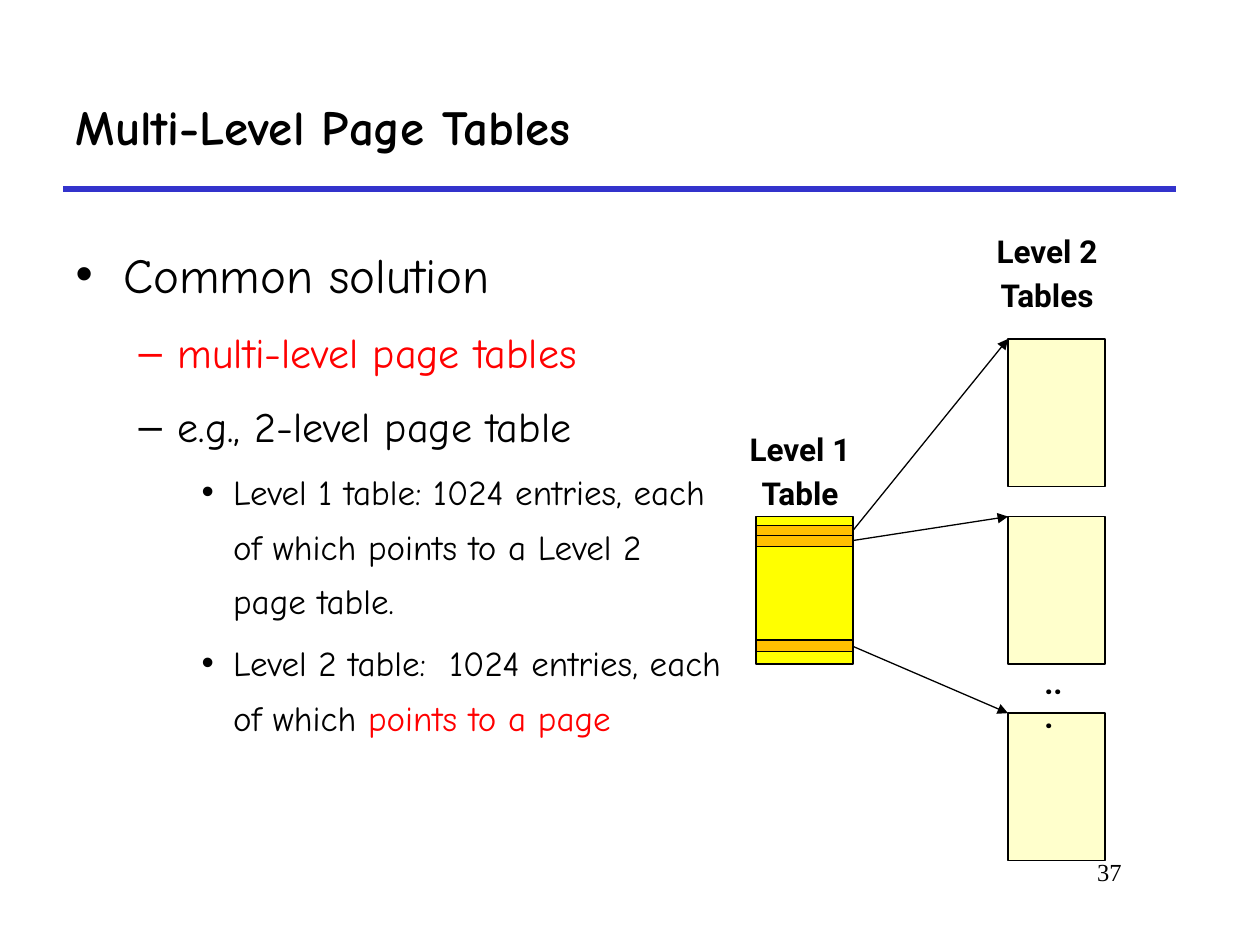
from lxml.etree import SubElement
from pptx import Presentation
from pptx.dml.color import RGBColor
from pptx.enum.shapes import MSO_CONNECTOR, MSO_SHAPE
from pptx.enum.text import MSO_ANCHOR, MSO_AUTO_SIZE, PP_ALIGN
from pptx.oxml.ns import qn
from pptx.util import Inches, Pt

COLORS = {"black": "000000", "blue": "3333CC", "red": "FF0000", "yellow": "FFFF00",
          "cream": "FFFFCC", "orange": "FFC000"}
HAND, SANS, SERIF = "Comic Neue", "Roboto", "Times New Roman"

# Content
TITLE = "Multi-Level Page Tables"
BULLETS = [  # level, runs of (text, colour)
    (0, [("Common solution", "black")]),
    (1, [("multi-level page tables", "red")]),
    (1, [("e.g., 2-level page table", "black")]),
    (2, [("Level 1 table: 1024 entries, each of which points to a Level 2 page table.", "black")]),
    (2, [("Level 2 table:  1024 entries, each of which", "black"), (" points to a page", "red")]),
]
LEVELS = [  # bullet, size, text indent, hanging indent
    ("•", 28, 0.38, 0.38),
    ("–", 24, 0.81, 0.31),
    ("•", 20, 1.25, 0.25),
]
LABELS = [  # lines, box
    (["Level 1", "Table"], (5.83, 3.4, 1.04, 0.73)),
    (["Level 2", "Tables"], (7.79, 1.83, 1.04, 0.73)),
]
ELLIPSIS_BOX = (8.19, 5.25, 0.41, 0.37)
PAGE_NUMBER = "37"

# Diagram geometry
TABLE_W, TABLE_H, ENTRY_H = 0.77, 1.17, 0.09
LEVEL1_X, LEVEL1_Y, LEVEL2_X = 6, 4.1, 8
LINKS = [  # entry top, arrow start, level 2 table top
    (4.17, 4.21, 2.69),
    (4.25, 4.29, 4.1),
    (5.08, 5.13, 5.66),
]

prs = Presentation()
prs.slide_width, prs.slide_height = Inches(10), Inches(7.5)
slide = prs.slides.add_slide(prs.slide_layouts[1])


def rgb(name):
    return RGBColor.from_string(COLORS[name])


def write(frame, paragraphs, font=SANS, size=18, bold=False, align=PP_ALIGN.LEFT,
          spacing=None, before=0, anchor=MSO_ANCHOR.TOP, wrap=True):
    """Fill a text frame with (level, runs) paragraphs; before is a share of the size."""
    frame.word_wrap, frame.auto_size, frame.vertical_anchor = wrap, MSO_AUTO_SIZE.NONE, anchor
    for i, (level, runs) in enumerate(paragraphs):
        paragraph = frame.add_paragraph() if i else frame.paragraphs[0]
        points = size[level] if isinstance(size, list) else size
        paragraph.level, paragraph.alignment = level, align
        paragraph.line_spacing, paragraph.space_before = spacing, Pt(points * before)
        for text, color in runs:
            run = paragraph.add_run()
            run.text = text
            run.font.name, run.font.size, run.font.bold = font, Pt(points), bold
            run.font.color.rgb = rgb(color)


def plain(*lines):
    return [(0, [(line, "black")]) for line in lines]


def place(shape, box):
    shape.left, shape.top, shape.width, shape.height = map(Inches, box)
    return shape


def add_text(box, lines, **style):
    write(slide.shapes.add_textbox(*map(Inches, box)).text_frame, plain(*lines), **style)


def add_block(x, y, height, color):
    block = slide.shapes.add_shape(MSO_SHAPE.RECTANGLE, *map(Inches, (x, y, TABLE_W, height)))
    block.shadow.inherit = False
    block.fill.solid()
    block.fill.fore_color.rgb = rgb(color)
    block.line.color.rgb, block.line.width = rgb("black"), Pt(0.75)


def add_line(start, end, color="black", width=0.75, arrow=False):
    line = slide.shapes.add_connector(MSO_CONNECTOR.STRAIGHT, *map(Inches, start + end))
    line.line.color.rgb, line.line.width = rgb(color), Pt(width)
    if arrow:
        SubElement(line.line._get_or_add_ln(), qn("a:tailEnd"), type="triangle")
    SubElement(line._element.spPr, qn("a:effectLst"))


# Title, rule and page number
add_line((0.5, 1.5), (9.33, 1.5), "blue", 3)
add_text((7.58, 6.75, 1.42, 0.5), [PAGE_NUMBER], font=SERIF, size=14, align=PP_ALIGN.RIGHT)
title = place(slide.shapes.title, (0.5, 0.5, 8.83, 1))
write(title.text_frame, plain(TITLE), font=HAND, size=28, bold=True, anchor=MSO_ANCHOR.MIDDLE)

# Bulleted list
body = place(slide.placeholders[1], (0.5, 1.75, 5.33, 4.83))
write(body.text_frame, BULLETS, font=HAND, size=[level[1] for level in LEVELS],
      spacing=1.3, before=0.2)
for paragraph in body.text_frame.paragraphs:
    bullet, _, indent, hanging = LEVELS[paragraph.level]
    props = paragraph._p.get_or_add_pPr()
    props.set("marL", str(Inches(indent)))
    props.set("indent", str(-Inches(hanging)))
    SubElement(props, qn("a:buChar"), char=bullet)

# Page tables and their entries
label_style = dict(bold=True, spacing=0.9, before=0.3)
add_block(LEVEL1_X, LEVEL1_Y, TABLE_H, "yellow")
for entry_y, start_y, table_y in LINKS:
    add_block(LEVEL2_X, table_y, TABLE_H, "cream")
    add_block(LEVEL1_X, entry_y, ENTRY_H, "orange")
for entry_y, start_y, table_y in LINKS:
    add_line((LEVEL1_X + TABLE_W, start_y), (LEVEL2_X, table_y), arrow=True)

# Labels
for lines, box in LABELS:
    add_text(box, lines, align=PP_ALIGN.CENTER, wrap=False, **label_style)
add_text(ELLIPSIS_BOX, ["..."], **label_style)

prs.save("out.pptx")
